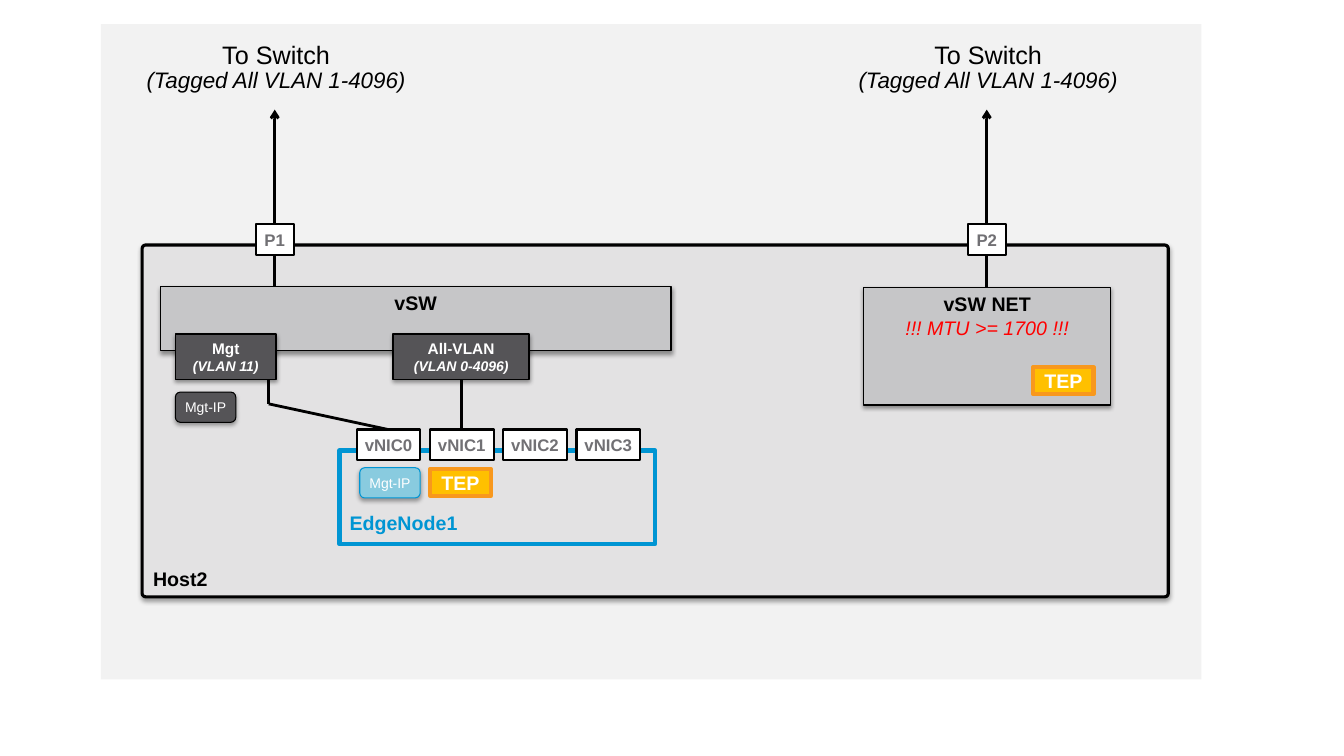
import dataclasses

import pptx
import pptx.dml.color
import pptx.enum.shapes
import pptx.enum.text
import pptx.oxml
import pptx.oxml.ns
import pptx.util

Pt = pptx.util.Pt
SHAPES = pptx.enum.shapes.MSO_SHAPE
ANCHOR = pptx.enum.text.MSO_ANCHOR
ALIGN = pptx.enum.text.PP_ALIGN


@dataclasses.dataclass(frozen=True)
class Theme:
    """Colours, type sizes and insets of the slide."""
    font: str = "Arial"
    black: str = "000000"
    white: str = "FFFFFF"
    red: str = "FF0000"
    panel: str = "F2F2F2"
    host: str = "E3E2E3"
    switch: str = "C6C6C8"
    dark: str = "555457"
    port_text: str = "717074"
    edge: str = "0095D3"
    edge_light: str = "89CBDF"
    amber: str = "FFC000"
    orange: str = "F8981D"
    headline: float = 18
    subline: float = 16
    title: float = 14
    port: float = 12
    group: float = 11
    small: float = 10
    wide: tuple = (7.2, 3.6, 7.2, 3.6)
    tight: tuple = (3.6, 3.6, 3.6, 3.6)
    none: tuple = (0, 0, 0, 0)


THEME = Theme()


@dataclasses.dataclass(frozen=True)
class Box:
    """A rectangle in points."""
    left: float
    top: float
    width: float
    height: float

    def inner(self, left, top, width, height):
        """Return a box placed relative to this one."""
        return Box(self.left + left, self.top + top, width, height)

    def lengths(self):
        """Return left, top, width and height as lengths."""
        return [Pt(value) for value in dataclasses.astuple(self)]


@dataclasses.dataclass(frozen=True)
class Line:
    """One paragraph of a label."""
    text: str
    size: float
    color: str = THEME.black
    bold: bool = False
    italic: bool = False


def rgb(color):
    """Turn a hex string into a colour."""
    return pptx.dml.color.RGBColor.from_string(color)


def write(shape, lines, anchor=ANCHOR.TOP, align=ALIGN.CENTER, insets=THEME.wide,
          wrap=True, spacing=None):
    """Fill a shape with one paragraph per line."""
    frame = shape.text_frame
    frame.word_wrap = wrap
    frame.vertical_anchor = anchor
    frame.margin_left, frame.margin_top, frame.margin_right, frame.margin_bottom = map(Pt, insets)
    for index, line in enumerate(lines):
        para = frame.add_paragraph() if index else frame.paragraphs[0]
        para.text = line.text
        para.alignment = align
        para.line_spacing = spacing
        para.font.name = THEME.font
        para.font.size = Pt(line.size)
        para.font.bold = line.bold
        para.font.italic = line.italic
        para.font.color.rgb = rgb(line.color)


def add_block(page, box, fill=None, line=None, weight=1, kind=SHAPES.RECTANGLE, shadow=0):
    """Add a preset shape; shadow is its opacity in percent."""
    shape = page.shapes.add_shape(kind, *box.lengths())
    shape.shadow.inherit = False
    if fill:
        shape.fill.solid()
        shape.fill.fore_color.rgb = rgb(fill)
    else:
        shape.fill.background()
    if line:
        shape.line.color.rgb = rgb(line)
        shape.line.width = Pt(weight)
    else:
        shape.line.fill.background()
    if shadow:
        effects = shape._element.spPr.find(pptx.oxml.ns.qn("a:effectLst"))
        effects.append(pptx.oxml.parse_xml(
            f'<a:outerShdw {pptx.oxml.ns.nsdecls("a")} blurRad="{Pt(3.1)}" dist="{Pt(1.7)}" '
            f'dir="5400000" rotWithShape="0"><a:srgbClr val="{THEME.black}">'
            f'<a:alpha val="{shadow * 1000}"/></a:srgbClr></a:outerShdw>'))
    return shape


def add_wire(page, start, end, arrow=False):
    """Connect two points, with an optional arrowhead at the start."""
    wire = page.shapes.add_connector(
        pptx.enum.shapes.MSO_CONNECTOR.STRAIGHT, *map(Pt, (*start, *end)))
    wire.line.color.rgb = rgb(THEME.black)
    wire.line.width = Pt(2)
    namespace = pptx.oxml.ns.nsdecls("a")
    if arrow:
        wire.line._get_or_add_ln().append(
            pptx.oxml.parse_xml(f'<a:headEnd {namespace} type="arrow"/>'))
    wire._element.spPr.append(pptx.oxml.parse_xml(f"<a:effectLst {namespace}/>"))


def add_port(page, box, name):
    """Draw a white port with its name."""
    port = add_block(page, box, THEME.white, THEME.black, 1.5)
    write(port, [Line(name, THEME.port, THEME.port_text, bold=True)], insets=THEME.tight)


def add_address(page, box, fill, line):
    """Draw a rounded management address tag."""
    tag = add_block(page, box, fill, line, 0.75, SHAPES.ROUNDED_RECTANGLE, shadow=35)
    write(tag, [Line("Mgt-IP", THEME.small, THEME.white)], ANCHOR.MIDDLE, insets=THEME.tight)


def add_tunnel_endpoint(page, box):
    """Draw an amber tunnel endpoint tag."""
    tag = add_block(page, box, THEME.amber, THEME.orange, 3)
    write(tag, [Line("TEP", THEME.title, THEME.white, bold=True)], ANCHOR.MIDDLE,
          insets=THEME.none)


def draw_host(page, box):
    """Draw the host frame."""
    host = add_block(page, box, THEME.host, THEME.black, 2.25, SHAPES.ROUNDED_RECTANGLE, 35)
    host.adjustments[0] = 0.01
    write(host, [Line("Host2", THEME.title, bold=True)], ANCHOR.BOTTOM, ALIGN.LEFT)


def draw_uplink(page, box, port_name):
    """Draw a switch label, its arrow, the port and the wire below."""
    label = page.shapes.add_textbox(*box.inner(0, 0, box.width, 37).lengths())
    write(label, [Line("To Switch", THEME.headline),
                  Line("(Tagged All VLAN 1-4096)", THEME.subline, italic=True)],
          insets=THEME.none, spacing=0.9)
    middle = box.width / 2 - 1
    center = box.left + middle
    add_wire(page, (center, box.top + 48), (center, box.top + 130), arrow=True)
    add_wire(page, (center, box.top + 152), (center, box.top + box.height))
    add_port(page, box.inner(middle - 13.7, 130, 27.4, 22), port_name)


def draw_switch(page, box, lines):
    """Draw a virtual switch with its title lines."""
    switch = add_block(page, box, THEME.switch, THEME.black, 1, shadow=38)
    write(switch, lines, wrap=False)


def draw_host_switch(page, box):
    """Draw the left switch, its port groups and the management address."""
    draw_switch(page, box, [Line("vSW", THEME.title, bold=True)])
    for left, width, name, network in ((10.8, 72, "Mgt", "(VLAN 11)"),
                                       (166.3, 97.2, "All-VLAN", "(VLAN 0-4096)")):
        group = add_block(page, box.inner(left, 34, width, 32.4), THEME.dark, THEME.black, 1,
                          shadow=38)
        write(group, [Line(name, THEME.group, THEME.white, bold=True),
                      Line(network, THEME.small, THEME.white, bold=True, italic=True)],
              ANCHOR.MIDDLE)
    add_address(page, box.inner(10.8, 75.6, 43.2, 21.6), THEME.dark, THEME.black)


def draw_overlay_switch(page, box):
    """Draw the right switch with its tunnel endpoint."""
    draw_switch(page, box, [Line("vSW NET", THEME.title, bold=True),
                            Line("!!! MTU >= 1700 !!!", THEME.title, THEME.red, italic=True)])
    add_tunnel_endpoint(page, box.inner(121, 57, 43.2, 19.4))


def draw_edge_node(page, box):
    """Draw the edge node with its network cards, address and endpoint."""
    node = add_block(page, box, None, THEME.edge, 3)
    write(node, [Line("EdgeNode1", THEME.title, THEME.edge, bold=True)], ANCHOR.BOTTOM,
          ALIGN.LEFT, (7.2, 10.8, 3.6, 7.2), spacing=Pt(10))
    for index in range(4):
        add_port(page, box.inner(12.3 + 52.3 * index, -15, 45.4, 21.6), f"vNIC{index}")
    add_address(page, box.inner(14.4, 12.3, 43.2, 21.6), THEME.edge_light, THEME.edge)
    add_tunnel_endpoint(page, box.inner(64.8, 13, 43.2, 19.4))


def draw_node_wires(page, switch, node):
    """Wire the port groups to the first two network cards."""
    bend = (switch.left + 77.5, switch.top + 84)
    group_bottom = switch.top + 67
    card_top = node.top - 15
    add_wire(page, bend, (node.left + 34.6, card_top))
    add_wire(page, bend, (bend[0], group_bottom))
    add_wire(page, (switch.left + 215, group_bottom), (switch.left + 215, card_top))


def draw_network(page, box):
    """Draw the whole network diagram on its panel."""
    add_block(page, box, THEME.panel)
    draw_host(page, box.inner(29.5, 157.7, 733, 251.3))
    for left, port_name in ((26.6, "P1"), (535.2, "P2")):
        draw_uplink(page, box.inner(left, 13, 197.3, 174.6), port_name)
    switch = box.inner(42.5, 187.2, 365, 46)
    node = box.inner(170.6, 304.5, 225.4, 67)
    draw_host_switch(page, switch)
    draw_overlay_switch(page, box.inner(545, 187.9, 176.4, 84.2))
    draw_edge_node(page, node)
    draw_node_wires(page, switch, node)


def main():
    """Build and save the deck."""
    deck = pptx.Presentation()
    deck.slide_width, deck.slide_height = Pt(960), Pt(540)
    page = deck.slides.add_slide(deck.slide_layouts[6])
    draw_network(page, Box(72, 17.3, 786.2, 468))
    deck.save("out.pptx")


if __name__ == "__main__":
    main()
